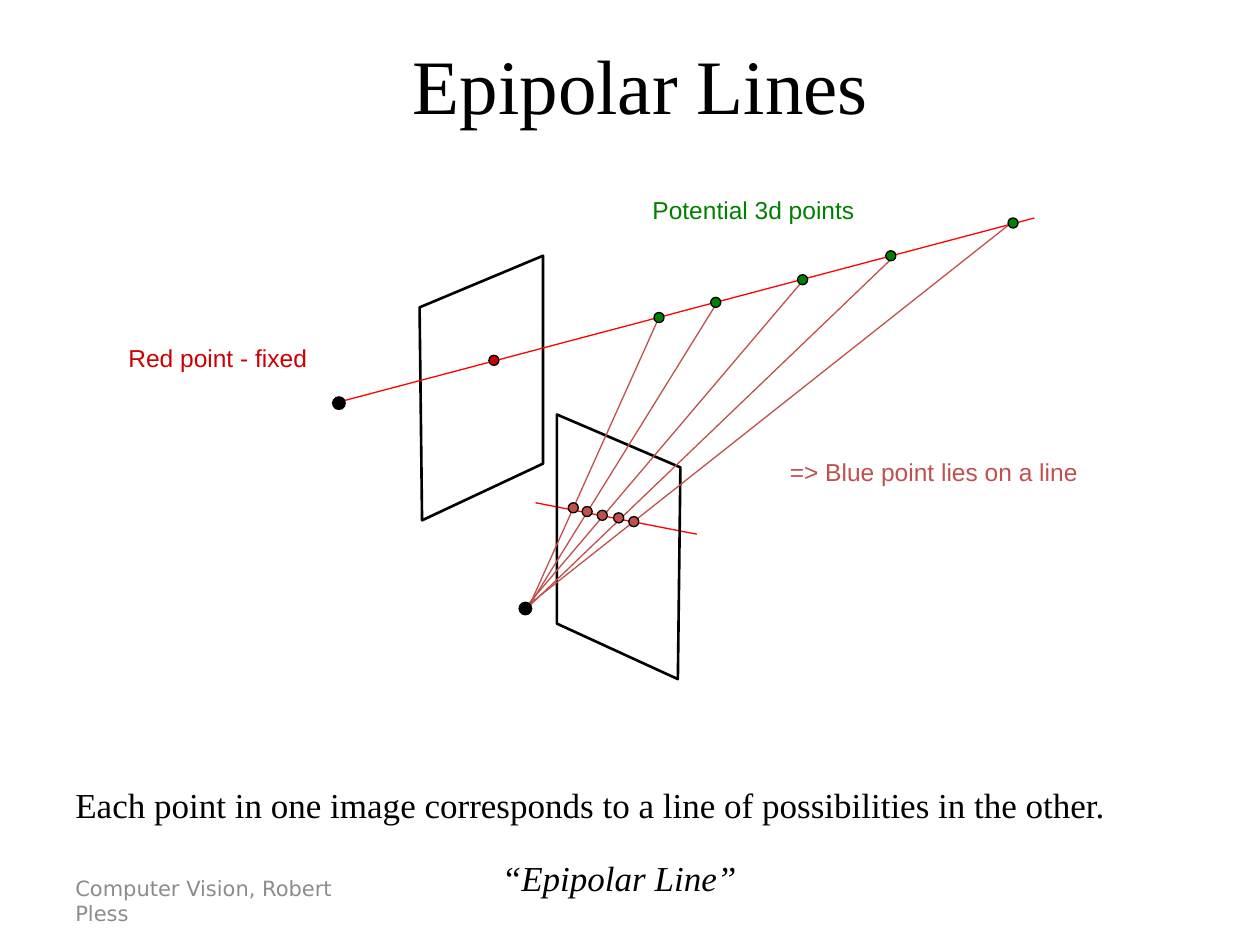
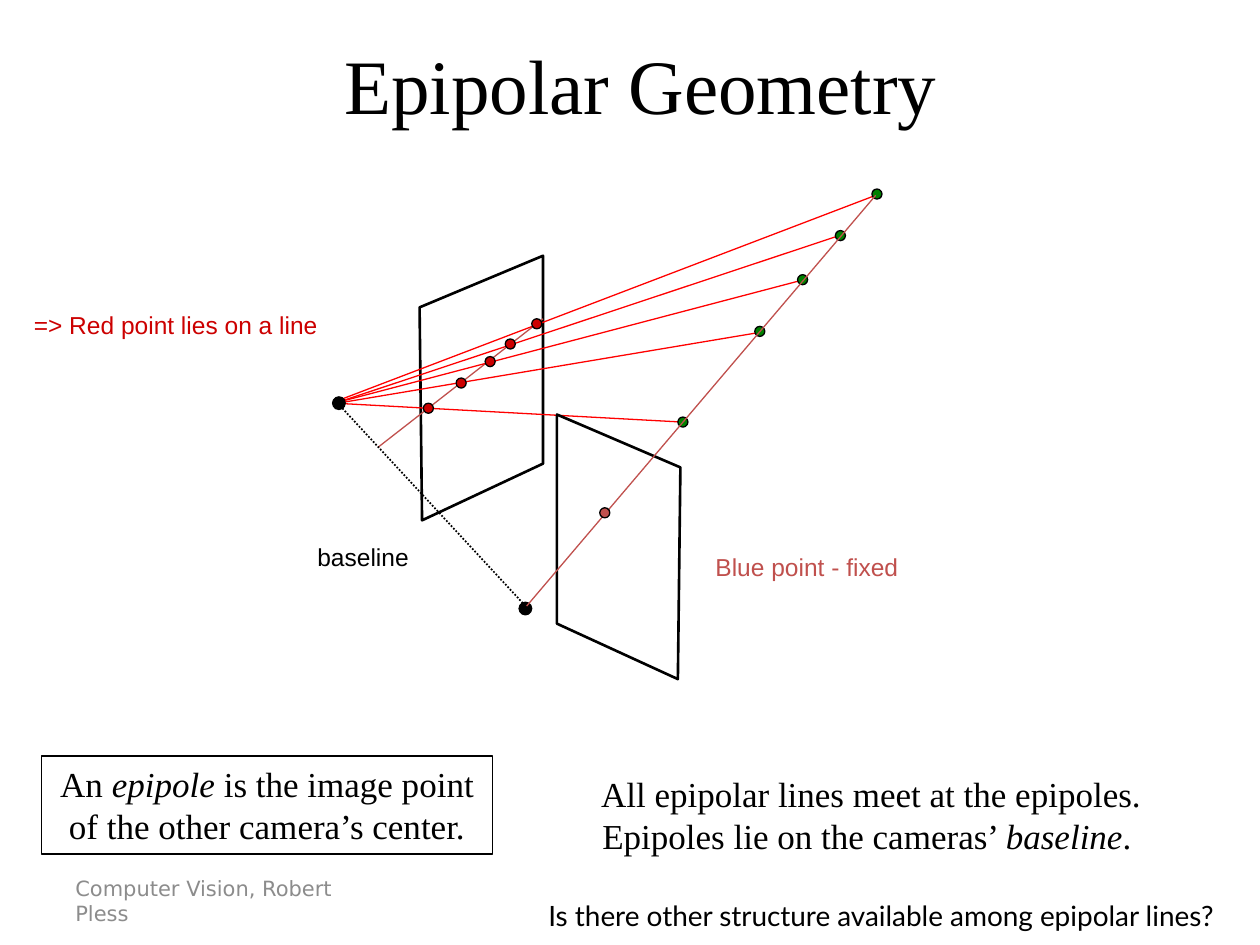
from pptx import Presentation
from pptx.dml.color import RGBColor
from pptx.enum.dml import MSO_LINE
from pptx.enum.shapes import MSO_CONNECTOR, MSO_SHAPE
from pptx.enum.text import MSO_ANCHOR, MSO_AUTO_SIZE, PP_ALIGN
from pptx.oxml.ns import qn
from pptx.util import Inches, Pt
from lxml import etree

COLORS = {
    "black": "000000",
    "white": "FFFFFF",
    "footer": "8C8C8C",
    "ray": "FF0000",
    "red": "CC0000",
    "blue": "C0504D",  # the points the text calls blue
    "green": "008000",
}
SERIF, SANS = "Times New Roman", "Arial"
LEAD = 0.15  # space above a paragraph, as a share of its font size

# Scene shared by both slides
LEFT_CAMERA, RIGHT_CAMERA = (2.69, 3.2), (4.17, 4.83)
LEFT_WINDOW = [(3.33, 2.44), (4.31, 2.03), (4.31, 3.68), (3.35, 4.13)]
RIGHT_WINDOW = [(5.4, 3.71), (4.42, 3.29), (4.42, 4.95), (5.38, 5.39)]


def color(name):
    return RGBColor.from_string(COLORS[name])


def write(frame, parts, size, font, ink="black", align=PP_ALIGN.LEFT, lead=LEAD):
    """Fill a frame with one paragraph; parts are (text, italic) pairs."""
    frame.word_wrap = True
    para = frame.paragraphs[0]
    para.alignment = align
    para.space_before = Pt(size * lead)
    para.font.size, para.font.name = Pt(size), font
    para.font.color.rgb = color(ink)
    for text, italic in parts:
        span = para.add_run()
        span.text = text
        if italic:
            span.font.italic = True


def add_text(page, place, parts, size, font, **style):
    box = page.shapes.add_textbox(*map(Inches, place))
    if isinstance(parts, str):
        parts = [(parts, False)]
    write(box.text_frame, parts, size, font, **style)
    return box


def add_label(page, left, top, width, text, ink):
    add_text(page, (left, top, width, 0.34), text, 14, SANS, ink=ink)


def add_line(page, start, end, ink, width=0.75, dash=None):
    line = page.shapes.add_connector(
        MSO_CONNECTOR.STRAIGHT, *map(Inches, (*start, *end)))
    line.line.color.rgb = color(ink)
    line.line.width = Pt(width)
    if dash:
        line.line.dash_style = dash
    etree.SubElement(line._element.spPr, qn("a:effectLst"))


def add_dots(page, centers, ink, size=0.08):
    for x, y in centers:
        dot = page.shapes.add_shape(
            MSO_SHAPE.OVAL, Inches(x - size / 2), Inches(y - size / 2),
            Inches(size), Inches(size))
        dot.shadow.inherit = False
        dot.fill.solid()
        dot.fill.fore_color.rgb = color(ink)
        dot.line.color.rgb = color("black")
        dot.line.width = Pt(0.75)


def add_cameras(page):
    add_dots(page, [LEFT_CAMERA, RIGHT_CAMERA], "black", size=0.1)


def add_window(page, corners, fill=None):
    points = [(Inches(x), Inches(y)) for x, y in corners]
    builder = page.shapes.build_freeform(*points[0])
    builder.add_line_segments(points[1:], close=True)
    window = builder.convert_to_shape()
    window.shadow.inherit = False
    if fill:
        window.fill.solid()
        window.fill.fore_color.rgb = color(fill)
    else:
        window.fill.background()
    window.line.color.rgb = color("black")
    window.line.width = Pt(1.5)


def add_page(deck, heading):
    page = deck.slides.add_slide(deck.slide_layouts[5])
    title = page.shapes.title
    title.left, title.top, title.width, title.height = map(
        Inches, (1, 0.25, 8.17, 0.83))
    frame = title.text_frame
    frame.auto_size = MSO_AUTO_SIZE.NONE
    frame.vertical_anchor = MSO_ANCHOR.TOP
    write(frame, [(heading, False)], 44, SERIF, align=PP_ALIGN.CENTER)
    footer = add_text(page, (0.5, 6.95, 2.33, 0.4), "Computer Vision, Robert Pless",
                      12, "DejaVu Sans", ink="footer", lead=0)
    footer.text_frame.vertical_anchor = MSO_ANCHOR.MIDDLE
    return page


def build_lines_page(deck):
    page = add_page(deck, "Epipolar Lines")

    # Windows, the fixed ray and the epipolar line
    add_line(page, (5.53, 4.24), (4.25, 3.99), "ray")
    add_window(page, LEFT_WINDOW, fill="white")
    add_line(page, (8.21, 1.73), (2.73, 3.18), "ray")
    add_window(page, RIGHT_WINDOW)

    # Rays from candidate points to the right camera
    rays = [((5.23, 2.52), (4.2, 4.81)), ((5.68, 2.42), (4.18, 4.84)),
            ((6.37, 2.23), (4.18, 4.81)), ((7.08, 2.05), (4.17, 4.84)),
            ((8.05, 1.75), (4.17, 4.82))]
    for start, end in rays:
        add_line(page, start, end, "blue")

    # Points
    add_cameras(page)
    add_dots(page, [(3.92, 2.86)], "red")
    add_dots(page, [(5.23, 2.52), (5.68, 2.4), (6.37, 2.22), (7.07, 2.03),
                    (8.04, 1.77)], "green")
    add_dots(page, [(4.55, 4.03), (4.66, 4.06), (4.78, 4.09), (4.91, 4.11),
                    (5.03, 4.14)], "blue")

    # Labels and conclusion
    add_label(page, 5.08, 1.5, 2.33, "Potential 3d points", "green")
    add_label(page, 0.92, 2.67, 1.92, "Red point - fixed", "red")
    add_label(page, 6.17, 3.58, 3, "=> Blue point lies on a line", "blue")
    add_text(page, (0.5, 6.17, 8.5, 0.43),
             "Each point in one image corresponds to a line of possibilities in the other.",
             20, SERIF)
    add_text(page, (3.83, 6.75, 2.17, 0.43), [("“Epipolar Line”", True)],
             20, SERIF, align=PP_ALIGN.CENTER)


def build_geometry_page(deck):
    page = add_page(deck, "Epipolar Geometry")

    # Left window, its epipolar line and the rays to the left camera
    add_window(page, LEFT_WINDOW, fill="white")
    add_line(page, (4.31, 2.53), (3, 3.55), "blue")
    rays = [((6.95, 1.55), (2.68, 3.18)), ((6.69, 1.86), (2.69, 3.19)),
            ((6.38, 2.22), (2.73, 3.18)), ((6.02, 2.64), (2.68, 3.2)),
            ((5.42, 3.35), (2.66, 3.2))]
    for start, end in rays:
        add_line(page, start, end, "ray")

    # Points
    add_cameras(page)
    add_dots(page, [(6.96, 1.54), (6.67, 1.87), (6.37, 2.22), (6.03, 2.63),
                    (5.42, 3.35)], "green")
    add_dots(page, [(4.26, 2.57), (4.05, 2.73), (3.89, 2.87), (3.66, 3.04),
                    (3.4, 3.24)], "red")

    # Baseline, right window and the fixed ray
    add_line(page, (2.68, 3.2), (4.18, 4.82), "black", 1, MSO_LINE.ROUND_DOT)
    add_window(page, RIGHT_WINDOW)
    add_line(page, (6.95, 1.55), (4.18, 4.81), "blue")
    add_dots(page, [(4.8, 4.07)], "blue")

    # Labels
    add_label(page, 0.17, 2.41, 3, "=> Red point lies on a line", "red")
    add_label(page, 2.42, 4.25, 1.08, "baseline", "black")
    add_label(page, 5.58, 4.33, 2.33, "Blue point - fixed", "blue")

    # Definition and conclusions
    definition = add_text(
        page, (0.33, 6, 3.58, 0.78),
        [("An", False), (" epipole", True),
         (" is the image point of the other camera’s center.", False)],
        20, SERIF, align=PP_ALIGN.CENTER)
    definition.line.color.rgb = color("black")
    definition.line.width = Pt(1)
    add_text(
        page, (4.58, 6.08, 4.67, 0.77),
        [("All epipolar lines meet at the epipoles. Epipoles lie on the cameras’ ", False),
         ("baseline", True), (". ", False)],
        20, SERIF, align=PP_ALIGN.CENTER)
    add_text(page, (4.08, 7.08, 5.83, 0.37),
             "Is there other structure available among epipolar lines?",
             16, "Lato", align=PP_ALIGN.CENTER)


def main():
    deck = Presentation()
    deck.slide_width, deck.slide_height = Inches(10), Inches(7.5)
    build_lines_page(deck)
    build_geometry_page(deck)
    deck.save("out.pptx")


if __name__ == "__main__":
    main()
